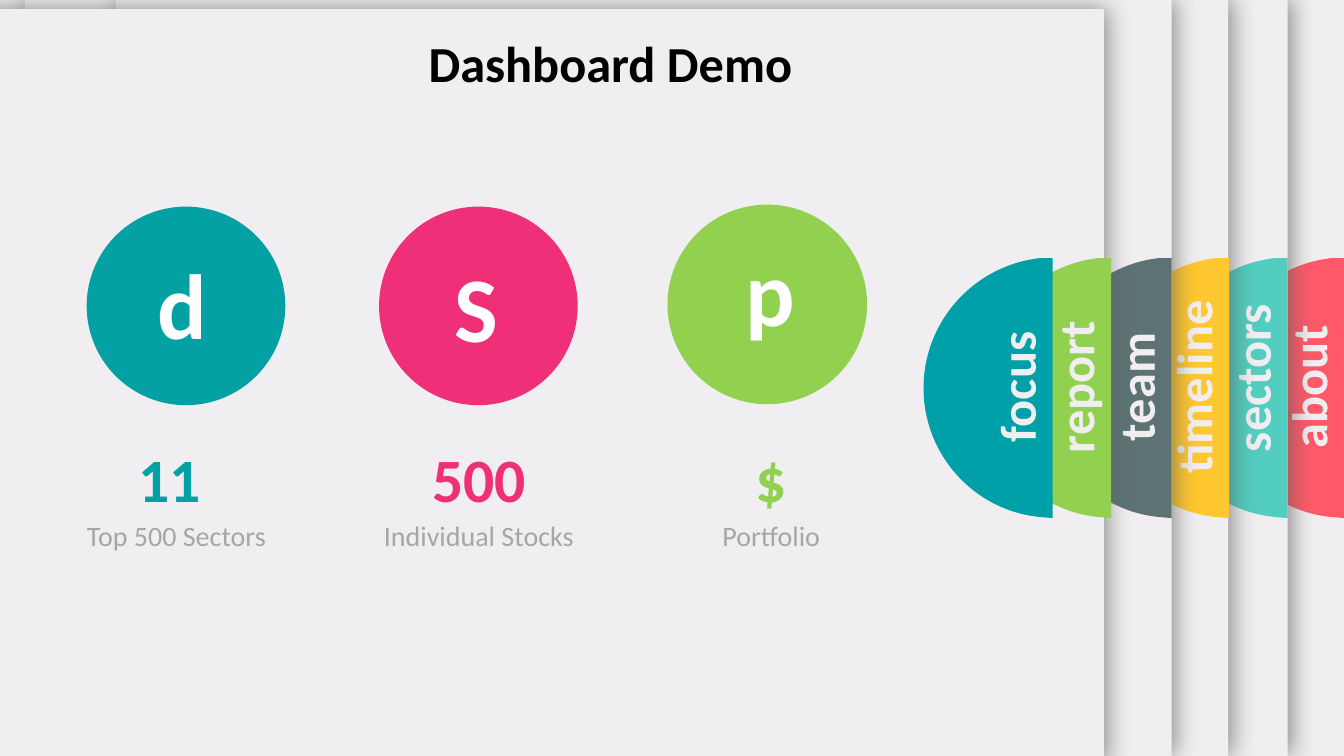
"""Build the dashboard slide with stacked sheets and side tabs."""
from lxml.etree import SubElement
from pptx import Presentation
from pptx.dml.color import RGBColor as Rgb
from pptx.enum.shapes import MSO_SHAPE as Shape
from pptx.enum.text import MSO_ANCHOR as Anchor, PP_ALIGN as Align
from pptx.oxml.ns import qn
from pptx.util import Inches, Pt

HUES = {"paper": "F0EEF0", "shade": "595959", "coral": "FF5969", "mint": "52CDC0",
        "gold": "FFC730", "slate": "5D7373", "lime": "92D050", "teal": "00A0A8",
        "sea": "03A1A4", "pink": "EF3078", "gray": "A6A6A6", "white": "FFFFFF",
        "black": "000000"}
WIDE, HIGH = 13.33, 7.5
TITLE = "Dashboard Demo"
# label, hue, right edge, label centre y, sheet (left, top, width)
TABS = [
    ("about", "coral", 13.33, 3.84, (-0.32, 0, 13.65)),
    ("sectors", "mint", 12.77, 3.75, (0.25, 0, 12.52)),
    ("timeline", "gold", 12.19, 3.84, (1.29, 0, 10.89)),
    ("team", "slate", 11.62, 3.84, (1.15, 0, 10.47)),
    ("report", "lime", 11.02, 3.84, (-2.02, 0.09, 12.97)),
    ("focus", "teal", 10.44, 3.84, None),
]
# letter, letter centre, hue, disc centre, disc size, figure, figure x, caption, caption x
STATS = [
    ("d", (1.81, 3), "sea", (1.845, 3.035), 1.97, "11", 1.68, "Top 500 Sectors", 1.75),
    ("S", (4.72, 3.03), "pink", (4.745, 3.035), 1.97, "500", 4.75, "Individual Stocks", 4.75),
    ("p", (7.64, 2.87), "lime", (7.61, 3.02), 1.98, "$", 7.65, "Portfolio", 7.65),
]
TAB_Y = 3.85
# half disc: leftward and downward offsets from the middle of its flat side
ARC = [(0, -1.29), (0, 1.29), (0.12, 1.28),
       (0.77, 1.22), (1.28, 0.67), (1.28, 0),
       (1.28, -0.67), (0.77, -1.22), (0.12, -1.29)]


def tint(item, hue):
    item.shadow.inherit = False
    item.fill.solid()
    item.fill.fore_color.rgb = Rgb.from_string(HUES[hue])
    item.line.fill.background()


def write(box, text, size, hue, bold=True, anchor=Anchor.TOP):
    frame = box.text_frame
    frame.word_wrap = True
    frame.vertical_anchor = anchor
    para = frame.paragraphs[0]
    para.alignment = Align.CENTER
    run = para.add_run()
    run.text = text
    font = run.font
    font.name, font.size, font.bold = "Calibri", Pt(size), bold
    font.color.rgb = Rgb.from_string(HUES[hue])


def label(mid, y, wide, high, *args, **kw):
    box = shapes.add_textbox(Inches(mid - wide / 2), Inches(y - high / 2),
                             Inches(wide), Inches(high))
    write(box, *args, **kw)
    return box


def sheet(left, top, wide):
    page = shapes.add_shape(Shape.RECTANGLE, Inches(left), Inches(top),
                            Inches(wide), Inches(HIGH))
    tint(page, "paper")
    glow = SubElement(page.element.spPr.find(qn("a:effectLst")), qn("a:outerShdw"),
                      blurRad=str(Pt(17)), dist=str(Pt(3)), dir="0",
                      algn="l", rotWithShape="0")
    shade = SubElement(glow, qn("a:srgbClr"), val=HUES["shade"])
    SubElement(shade, qn("a:alpha"), val="65000")


def half(right, hue):
    dots = [(Inches(right - dx), Inches(TAB_Y + dy)) for dx, dy in ARC]
    path = shapes.build_freeform(*dots[0])
    path.add_line_segments(dots[1:], close=True)
    tab = path.convert_to_shape()
    tint(tab, hue)
    track = next(tab.element.iter(qn("a:path")))
    legs = track.findall(qn("a:lnTo"))[2:8]
    for k in (0, 3):
        curve = SubElement(track, qn("a:cubicBezTo"))
        for leg in legs[k:k + 3]:
            curve.append(leg[0])
            track.remove(leg)
    track.append(track.find(qn("a:close")))


deck = Presentation()
deck.slide_width, deck.slide_height = Inches(WIDE), Inches(HIGH)
slide = deck.slides.add_slide(deck.slide_layouts[5])
shapes = slide.shapes
back = slide.background.fill
back.solid()
back.fore_color.rgb = Rgb.from_string(HUES["paper"])

for name, hue, right, y, page in TABS:
    if page:
        sheet(*page)
    half(right, hue)
    label(right - 0.36, y, 2.18, 0.71, name, 36, "paper").rotation = 270

for letter, spot, hue, (x, y), size, figure, fig_x, note, note_x in STATS:
    disc = shapes.add_shape(Shape.OVAL, Inches(x - size / 2), Inches(y - size / 2),
                            Inches(size), Inches(size))
    tint(disc, hue)
    label(*spot, 1, 1.33, letter, 66, "white", anchor=Anchor.MIDDLE)
    label(fig_x, 4.75, 2.56, 0.84, figure, 44, hue)
    label(note_x, 5.31, 2.56, 0.44, note, 20, "gray", bold=False)

head = shapes.title
head.left, head.top, head.width, head.height = map(Inches, (0.6, 0.14, 10.91, 0.96))
write(head, TITLE, 36, "black", anchor=Anchor.MIDDLE)
head.element.getparent().append(head.element)
deck.save("out.pptx")
